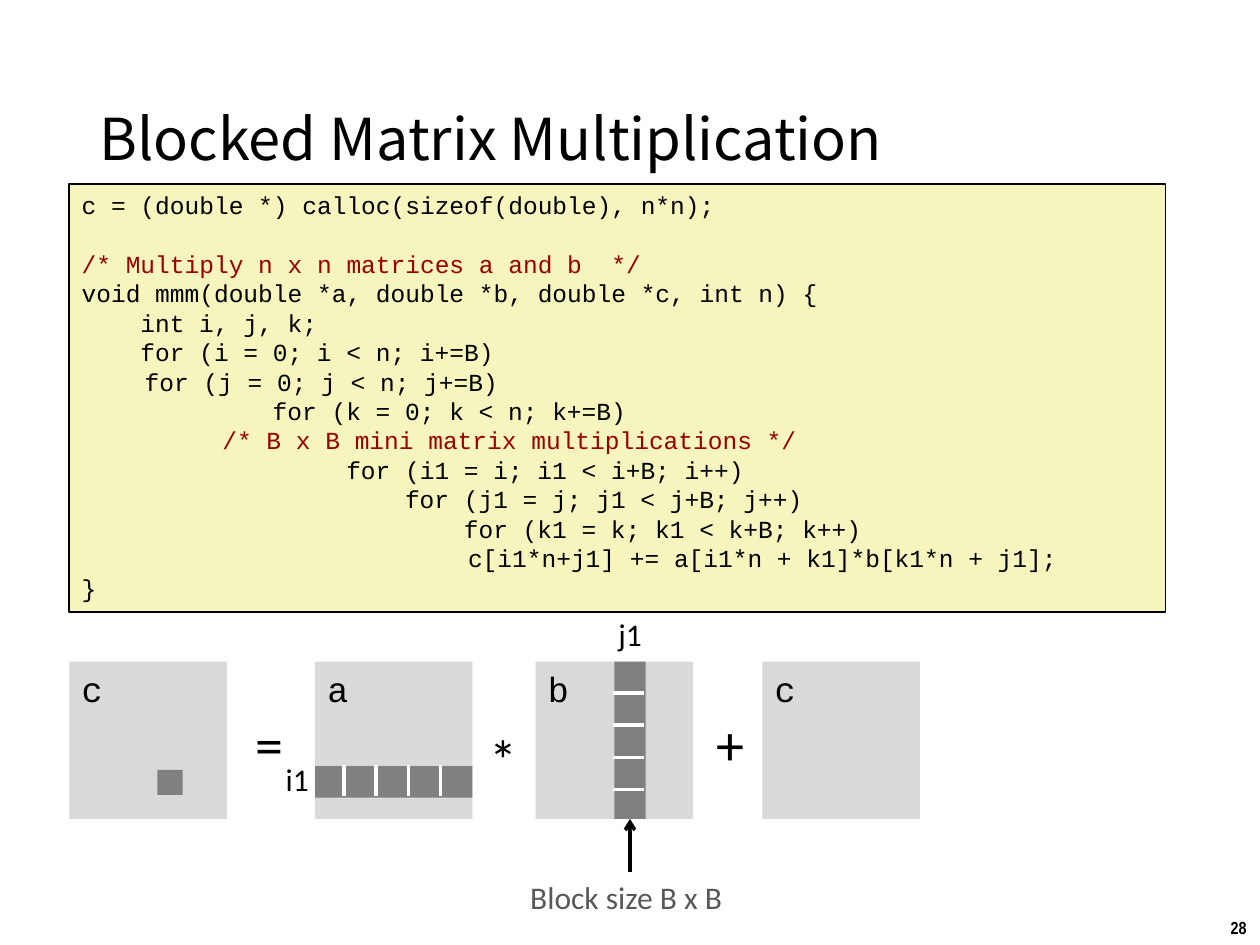
from dataclasses import dataclass
from typing import NamedTuple

from lxml.etree import SubElement
from pptx import Presentation
from pptx.dml.color import RGBColor
from pptx.enum.shapes import MSO_CONNECTOR as Connector, MSO_SHAPE as Preset
from pptx.enum.text import MSO_ANCHOR as Anchor, PP_ALIGN as Align
from pptx.oxml.ns import qn
from pptx.util import Pt


@dataclass(frozen=True)
class Theme:
    black: str = "000000"
    white: str = "FFFFFF"
    code_fill: str = "F6F5BD"
    comment: str = "990000"
    matrix: str = "D9D9D9"
    block: str = "808080"
    caption: str = "595959"
    title_font: str = "Noto Sans CJK SC"
    body_font: str = "Calibri"
    code_font: str = "Courier New"
    number_font: str = "Arial Narrow"
    title_size: float = 33
    operator_size: float = 32
    matrix_size: float = 20
    label_size: float = 18
    code_size: float = 14
    number_size: float = 10


THEME = Theme()


class Box(NamedTuple):
    left: float
    top: float
    width: float
    height: float


class CodeLine(NamedTuple):
    text: str
    tabs: int = 0
    columns: int = 0
    color: str = THEME.black
    space_before: float = 0


class Label(NamedTuple):
    text: str
    box: Box
    size: float = THEME.label_size
    color: str = THEME.black


class Matrix(NamedTuple):
    name: str
    left: float


TAB_WIDTH, COLUMN_WIDTH, CODE_PITCH = 36, 8.4, 16.8
MATRIX_TOP, MATRIX_SIDE, BLOCK_SIDE = 378, 90, 18
DIVIDER_STEP, DIVIDER_COUNT = 18.4, 4

CODE = [
    CodeLine("c = (double *) calloc(sizeof(double), n*n);"),
    CodeLine("/* Multiply n x n matrices a and b  */", color=THEME.comment,
             space_before=CODE_PITCH),
    CodeLine("void mmm(double *a, double *b, double *c, int n) {"),
    CodeLine("int i, j, k;", columns=4),
    CodeLine("for (i = 0; i < n; i+=B)", columns=4),
    CodeLine("for (j = 0; j < n; j+=B)", tabs=1),
    CodeLine("for (k = 0; k < n; k+=B)", columns=13),
    CodeLine("/* B x B mini matrix multiplications */", tabs=2, columns=1,
             color=THEME.comment),
    CodeLine("for (i1 = i; i1 < i+B; i++)", columns=18),
    CodeLine("for (j1 = j; j1 < j+B; j++)", columns=22),
    CodeLine("for (k1 = k; k1 < k+B; k++)", columns=26),
    CodeLine("c[i1*n+j1] += a[i1*n + k1]*b[k1*n + j1];", tabs=1, columns=22),
    CodeLine("}"),
]

RESULT, LEFT_FACTOR = Matrix("c", 39.6), Matrix("a", 180)
RIGHT_FACTOR, ADDEND = Matrix("b", 306), Matrix("c", 435.6)

LABELS = [
    Label("=", Box(139, 401.8, 31, 46), THEME.operator_size),
    Label("*", Box(272.9, 410.4, 31, 46), THEME.operator_size),
    Label("+", Box(402.5, 401.8, 31, 46), THEME.operator_size),
    Label("i1", Box(156.2, 430.6, 28, 29)),
    Label("j1", Box(346.3, 347.8, 28, 29)),
    Label("Block size B x B", Box(295.9, 498.2, 128, 29), color=THEME.caption),
]


def write(paragraph, text: str, *, font: str, size: float,
          color: str = THEME.black, bold: bool = False) -> None:
    paragraph.alignment = Align.LEFT
    run = paragraph.add_run()
    run.text = text
    run.font.name = font
    run.font.size = Pt(size)
    run.font.bold = bold
    run.font.color.rgb = RGBColor.from_string(color)


def add_text(slide, box: Box, text: str, *, wrap: bool = False,
             anchor: Anchor = Anchor.TOP, line_spacing: float = 1, **style) -> None:
    frame = slide.shapes.add_textbox(*map(Pt, box)).text_frame
    frame.word_wrap = wrap
    frame.vertical_anchor = anchor
    paragraph = frame.paragraphs[0]
    paragraph.line_spacing = line_spacing
    write(paragraph, text, **style)


def add_rectangle(slide, box: Box, fill: str, outline: str | None = None):
    shape = slide.shapes.add_shape(Preset.RECTANGLE, *map(Pt, box))
    shape.shadow.inherit = False
    shape.fill.solid()
    shape.fill.fore_color.rgb = RGBColor.from_string(fill)
    if outline:
        shape.line.color.rgb = RGBColor.from_string(outline)
        shape.line.width = Pt(1)
    else:
        shape.line.fill.background()
    shape.text_frame.word_wrap = True
    shape.text_frame.vertical_anchor = Anchor.TOP
    return shape


def add_line(slide, start: tuple[float, float], end: tuple[float, float], color: str):
    line = slide.shapes.add_connector(Connector.STRAIGHT, *map(Pt, (*start, *end)))
    line.line.color.rgb = RGBColor.from_string(color)
    line.line.width = Pt(2)
    SubElement(line._element.spPr, qn("a:effectLst"))
    return line


def add_code(slide, box: Box) -> None:
    frame = add_rectangle(slide, box, THEME.code_fill, THEME.black).text_frame
    for index, line in enumerate(CODE):
        paragraph = frame.add_paragraph() if index else frame.paragraphs[0]
        paragraph.line_spacing = Pt(CODE_PITCH)
        paragraph.space_before = Pt(line.space_before)
        indent = line.tabs * TAB_WIDTH + line.columns * COLUMN_WIDTH
        paragraph._p.get_or_add_pPr().set("marL", str(Pt(indent)))
        write(paragraph, line.text, font=THEME.code_font,
              size=THEME.code_size, color=line.color)


def add_matrix(slide, matrix: Matrix) -> None:
    box = Box(matrix.left, MATRIX_TOP, MATRIX_SIDE, MATRIX_SIDE)
    frame = add_rectangle(slide, box, THEME.matrix).text_frame
    write(frame.paragraphs[0], matrix.name, font=THEME.code_font, size=THEME.matrix_size)


def add_block_strip(slide, box: Box, first_divider: float):
    """Draw a row or column of blocks, with white dividers across its long side."""
    strip = add_rectangle(slide, box, THEME.block)
    for index in range(DIVIDER_COUNT):
        offset = first_divider + index * DIVIDER_STEP
        if box.width > box.height:
            x = box.left + offset
            add_line(slide, (x, box.top - 0.7), (x, box.top + box.height - 0.7), THEME.white)
        else:
            y = box.top + offset
            add_line(slide, (box.left + box.width - 0.7, y), (box.left - 0.7, y), THEME.white)
    return strip


def main() -> None:
    presentation = Presentation()
    presentation.slide_width, presentation.slide_height = Pt(720), Pt(540)
    slide = presentation.slides.add_slide(presentation.slide_layouts[6])

    add_text(slide, Box(696.2, 520.6, 24.5, 19.4), "28", font=THEME.number_font,
             size=THEME.number_size, bold=True)
    add_text(slide, Box(49.7, 28.8, 620.6, 104.4), "Blocked Matrix Multiplication",
             wrap=True, anchor=Anchor.MIDDLE, line_spacing=0.9,
             font=THEME.title_font, size=THEME.title_size)
    add_code(slide, Box(39.6, 105.1, 626.4, 244.8))

    for matrix in (RESULT, LEFT_FACTOR, RIGHT_FACTOR, ADDEND):
        add_matrix(slide, matrix)
    add_rectangle(slide, Box(90, 439.9, 14.4, 14.4), THEME.block)
    add_block_strip(slide, Box(LEFT_FACTOR.left, 437.8, MATRIX_SIDE, BLOCK_SIDE), 16.6)
    column = add_block_strip(slide, Box(351, MATRIX_TOP, BLOCK_SIDE, MATRIX_SIDE), 18)

    for label in LABELS:
        add_text(slide, label.box, label.text, font=THEME.body_font,
                 size=label.size, color=label.color)

    arrow = add_line(slide, (360, 498.2), (360, MATRIX_TOP + MATRIX_SIDE), THEME.black)
    arrow.end_connect(column, 2)
    SubElement(arrow.line._get_or_add_ln(), qn("a:tailEnd"), type="arrow")

    presentation.save("out.pptx")


if __name__ == "__main__":
    main()
